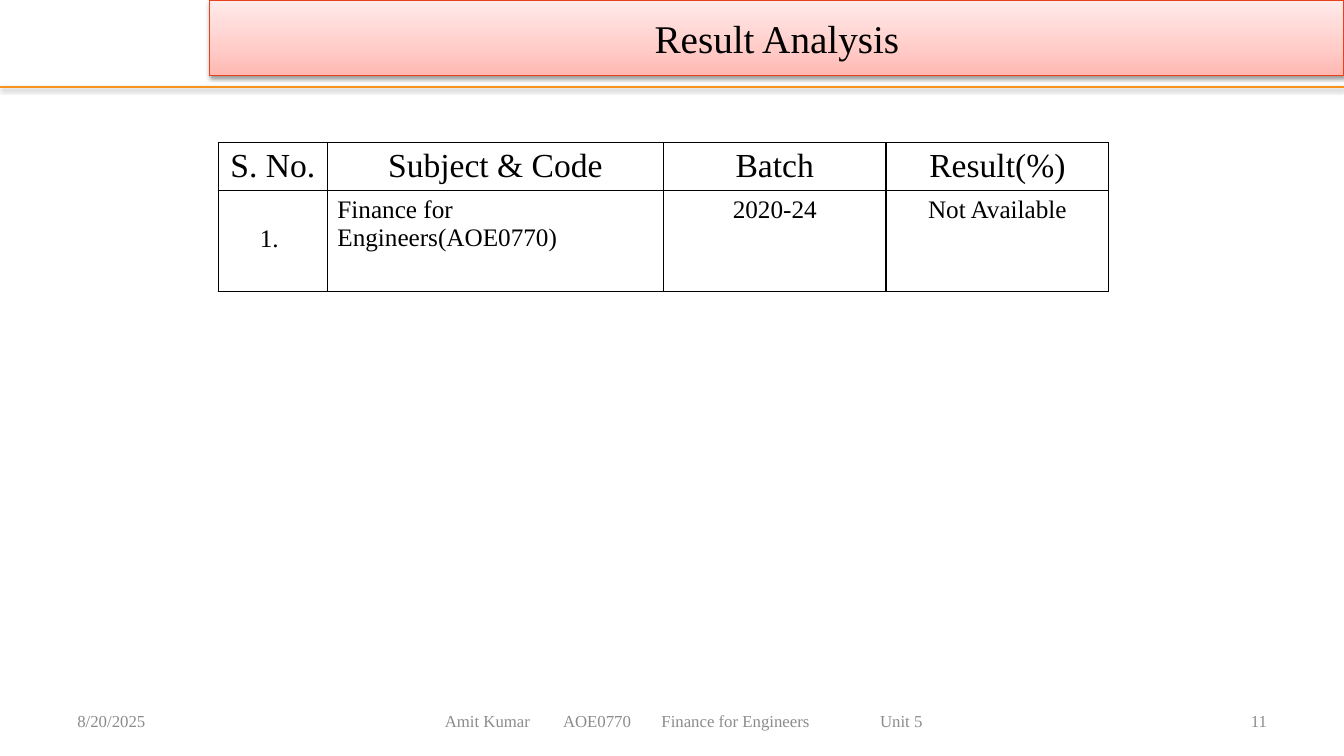
"""Build the Result Analysis slide with its header band, results table and footer."""
from lxml import etree
from pptx import Presentation
from pptx.dml.color import RGBColor as RGB
from pptx.enum.shapes import MSO_CONNECTOR as LINK
from pptx.enum.text import MSO_ANCHOR as ANCHOR, MSO_AUTO_SIZE as AUTO, PP_ALIGN as ALIGN
from pptx.oxml import parse_xml
from pptx.oxml.ns import qn
from pptx.util import Cm, Pt

HUE = {
    "black": "000000", "gray": "8C8C8C", "rule": "F8931D", "edge": "E6431D",
    "deep": "FFB7B1", "mid": "FFCCC8", "pale": "FFEBEA",
}
NS = 'xmlns:a="http://schemas.openxmlformats.org/drawingml/2006/main"'


def write(frame, text, size, hue, align):
    """Put one styled paragraph in a text frame."""
    frame.text = text
    para = frame.paragraphs[0]
    para.alignment = align
    look = {"name": "Times New Roman", "size": Pt(size), "bold": False}
    for run in para.runs:
        for key, value in look.items():
            setattr(run.font, key, value)
        run.font.color.rgb = RGB.from_string(HUE[hue])


def shade(shape):
    """Give a shape the soft shadow below it."""
    shape._element.spPr.append(parse_xml(
        f'<a:effectLst {NS}><a:outerShdw blurRad="40000" dist="20000" dir="5400000" rotWithShape="0">'
        f'<a:srgbClr val="{HUE["black"]}"><a:alpha val="38000"/></a:srgbClr>'
        '</a:outerShdw></a:effectLst>'))


deck = Presentation()
deck.slide_width, deck.slide_height = Cm(33.87), Cm(19.05)
slide = deck.slides.add_slide(deck.slide_layouts[5])

rule = slide.shapes.add_connector(LINK.STRAIGHT, 0, Cm(2.19), deck.slide_width, Cm(2.19))
rule.line.width = Pt(2)
rule.line.color.rgb = RGB.from_string(HUE["rule"])
shade(rule)

title = slide.shapes.title
place = {"left": Cm(5.29), "top": 0, "width": Cm(28.58), "height": Cm(1.9)}
for key, value in place.items():
    setattr(title, key, value)
title.fill.gradient()
title.fill.gradient_angle = 90
stops = title._element.spPr.find(".//" + qn("a:gsLst"))
for stop in list(stops):
    stops.remove(stop)
for spot, hue in ((0, "deep"), (35, "mid"), (100, "pale")):
    stop = etree.SubElement(stops, qn("a:gs"), pos=str(spot * 1000))
    etree.SubElement(stop, qn("a:srgbClr"), val=HUE[hue])
title.line.width = Pt(0.75)
title.line.color.rgb = RGB.from_string(HUE["edge"])
shade(title)
title.text_frame.auto_size = AUTO.NONE
title.text_frame.vertical_anchor = ANCHOR.MIDDLE
write(title.text_frame, "Result Analysis", 28, "black", ALIGN.CENTER)

cols = (2.75, 8.47, 5.61, 5.61)
rows = (1.21, 2.54)
data = (
    ("S. No.", "Subject & Code", "Batch", "Result(%)"),
    ("1.", "Finance for Engineers(AOE0770)", "2020-24", "Not Available"),
)
table = slide.shapes.add_table(
    len(rows), len(cols), Cm(5.5), Cm(3.6), Cm(sum(cols)), Cm(sum(rows))).table
table.first_row = table.horz_banding = False
for col, width in zip(table.columns, cols):
    col.width = Cm(width)
for r, (high, line) in enumerate(zip(rows, data)):
    table.rows[r].height = Cm(high)
    for c, text in enumerate(line):
        cell = table.cell(r, c)
        align = ALIGN.LEFT if r and c < 2 else ALIGN.CENTER
        write(cell.text_frame, text, 18 if r else 24, "black", align)
        props = cell._tc.get_or_add_tcPr()
        for side in ("lnL", "lnR", "lnT", "lnB"):
            props.append(parse_xml(
                f'<a:{side} {NS} w="12700"><a:solidFill><a:srgbClr val="{HUE["black"]}"/>'
                f'</a:solidFill></a:{side}>'))
        cell.fill.background()
first = table.cell(1, 0)
first.margin_left, first.margin_top = Cm(1.05), Cm(0.86)

foot = (
    (1.7, 4.88, "8/20/2025", ALIGN.LEFT, ()),
    (6.99, 20.52, "Amit Kumar\tAOE0770\tFinance for Engineers\tUnit 5", ALIGN.LEFT,
     (2.98, 5.46, 10.97)),
    (27.94, 4.24, "11", ALIGN.RIGHT, ()),
)
for left, width, text, align, tabs in foot:
    frame = slide.shapes.add_textbox(Cm(left), Cm(17.65), Cm(width), Cm(1.02)).text_frame
    frame.word_wrap = True
    frame.vertical_anchor = ANCHOR.MIDDLE
    write(frame, text, 12, "gray", align)
    if tabs:
        frame.margin_left = Cm(4.22)
        props = frame.paragraphs[0]._p.get_or_add_pPr()
        group = etree.SubElement(props, qn("a:tabLst"))
        for tab in tabs:
            etree.SubElement(group, qn("a:tab"), pos=str(Cm(tab)), algn="l")

deck.save("out.pptx")
